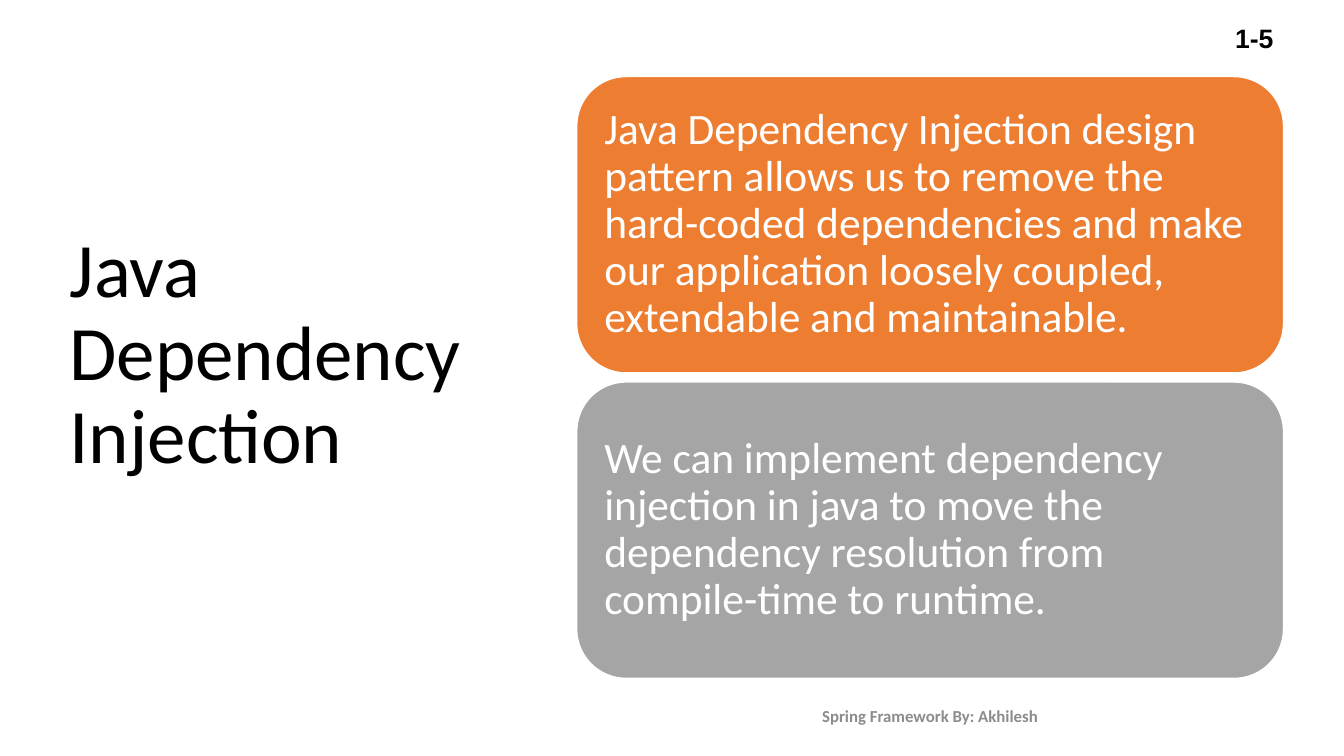
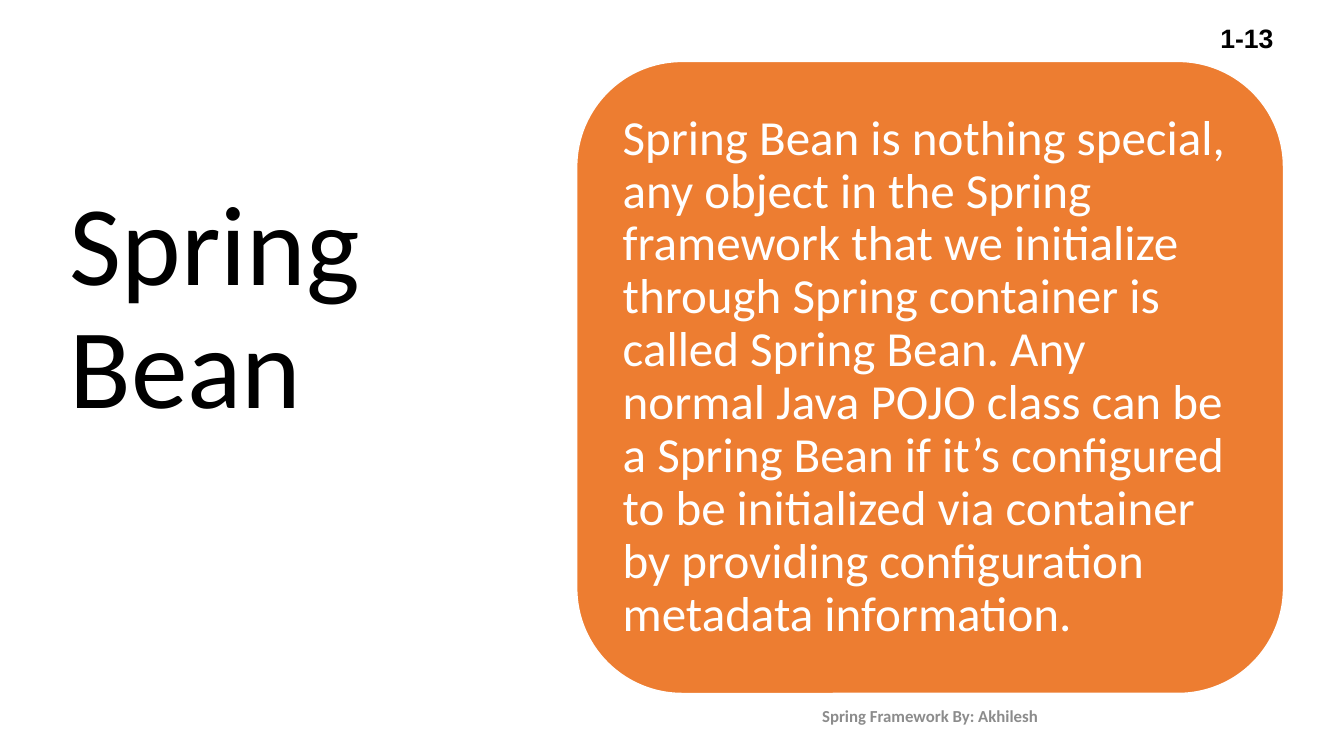
import pptx
import pptx.dml.color
import pptx.enum.shapes
import pptx.enum.text
import pptx.util

Inches, Pt = pptx.util.Inches, pptx.util.Pt
ALIGN, ANCHOR = pptx.enum.text.PP_ALIGN, pptx.enum.text.MSO_ANCHOR
COLORS = {"text": "000000", "white": "FFFFFF", "muted": "8C8C8C",
          "orange": "ED7D31", "gray": "A5A5A5"}
FOOTER = "Spring Framework By: Akhilesh"
COLUMN_LEFT, COLUMN_WIDTH, CARD_GAP = 5.72, 7.01, 0.09

SLIDES = [
    {"title": "Java Dependency Injection", "title_size": 55, "title_bottom": 0.47,
     "number": "1-5", "top": 0.76, "card_height": 2.94, "inset": 0.13, "size": 31,
     "cards": [
         ("orange", "Java Dependency Injection design pattern allows us to remove the "
                    "hard-coded dependencies and make our application loosely coupled, "
                    "extendable and maintainable."),
         ("gray", "We can implement dependency injection in java to move the "
                  "dependency resolution from compile-time to runtime."),
     ]},
    {"title": "Spring Bean", "title_size": 81, "title_bottom": 1.38,
     "number": "1-13", "top": 0.61, "card_height": 6.27, "inset": 0.15, "size": 35,
     "cards": [
         ("orange", "Spring Bean is nothing special, any object in the Spring framework "
                    "that we initialize through Spring container is called Spring Bean. "
                    "Any normal Java POJO class can be a Spring Bean if it’s configured "
                    "to be initialized via container by providing configuration "
                    "metadata information."),
     ]},
]


def rgb(name):
    return pptx.dml.color.RGBColor.from_string(COLORS[name])


def write(sp, text, size, color, align=ALIGN.LEFT, font="Calibri", bold=False):
    """Fill a shape with one vertically centred, wrapped paragraph."""
    tf = sp.text_frame
    tf.word_wrap = True
    tf.auto_size = pptx.enum.text.MSO_AUTO_SIZE.NONE
    tf.vertical_anchor = ANCHOR.MIDDLE
    p = tf.paragraphs[0]
    p.alignment = align
    p.line_spacing = 0.9
    r = p.add_run()
    r.text = text
    r.font.name, r.font.size, r.font.bold = font, Pt(size), bold
    r.font.color.rgb = rgb(color)
    return tf


prs = pptx.Presentation()
prs.slide_width, prs.slide_height = Inches(13.33), Inches(7.5)
title_only = prs.slide_layouts[5]

for page in SLIDES:
    s = prs.slides.add_slide(title_only)

    title = s.shapes.title
    title.left, title.top = Inches(0.59), Inches(0.59)
    title.width, title.height = Inches(4.92), Inches(6.3)
    tf = write(title, page["title"], page["title_size"], "text")
    tf.margin_bottom = Inches(page["title_bottom"])

    for i, (fill, text) in enumerate(page["cards"]):
        top = page["top"] + i * (page["card_height"] + CARD_GAP)
        card = s.shapes.add_shape(
            pptx.enum.shapes.MSO_SHAPE.ROUNDED_RECTANGLE, Inches(COLUMN_LEFT),
            Inches(top), Inches(COLUMN_WIDTH), Inches(page["card_height"]))
        card.shadow.inherit = False
        card.fill.solid()
        card.fill.fore_color.rgb = rgb(fill)
        card.line.color.rgb = rgb("white")
        card.line.width = Pt(1)
        tf = write(card, text, page["size"], "white")
        tf.margin_left = tf.margin_right = Inches(page["inset"])
        tf.margin_top = tf.margin_bottom = Inches(page["inset"])

    footer = s.shapes.add_textbox(Inches(COLUMN_LEFT), Inches(6.91),
                                  Inches(COLUMN_WIDTH), Inches(0.4))
    write(footer, FOOTER, 12, "muted", ALIGN.CENTER, bold=True)

    number = s.shapes.add_textbox(Inches(11.9), Inches(0.2), Inches(0.83), Inches(0.4))
    write(number, page["number"], 19, "text", ALIGN.RIGHT, "Arial", bold=True)

prs.save("out.pptx")
